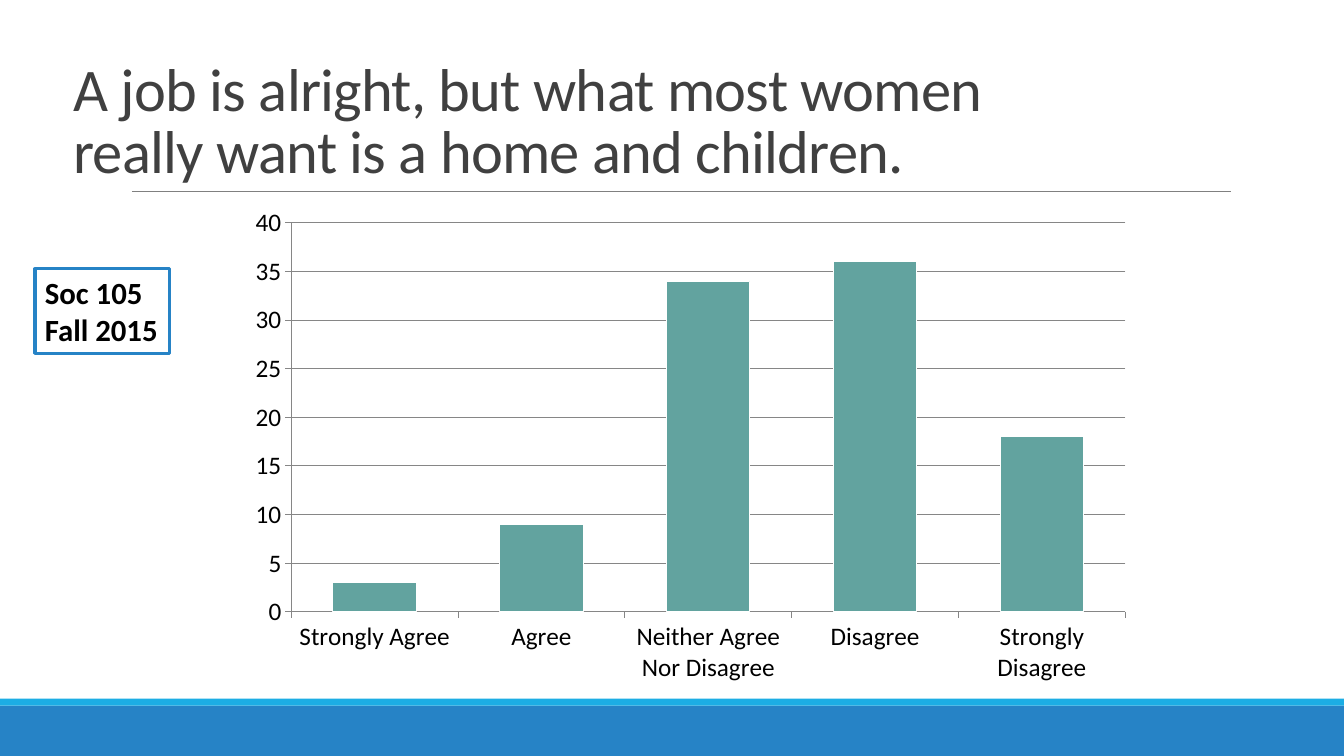
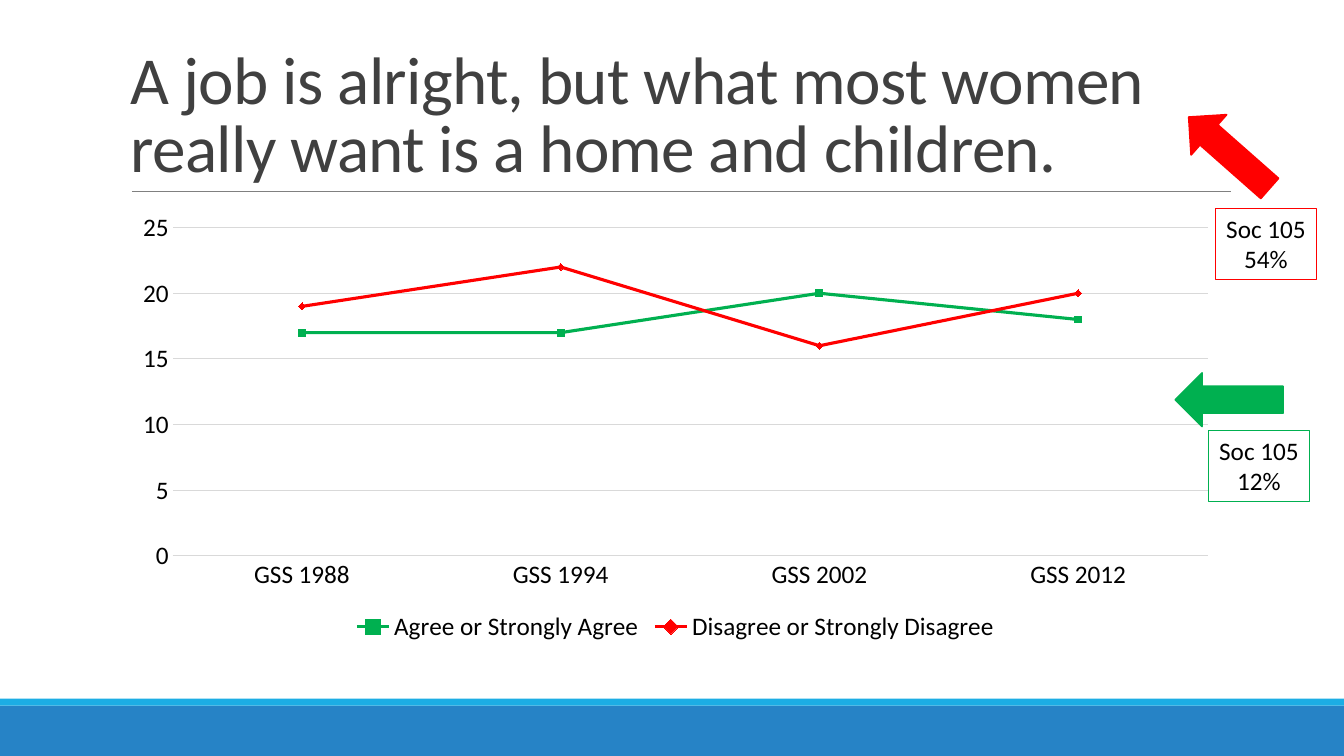
from lxml import etree
from pptx import Presentation
from pptx.chart.data import CategoryChartData
from pptx.dml.color import RGBColor
from pptx.enum.chart import XL_CHART_TYPE as CT, XL_LEGEND_POSITION as LP, XL_TICK_MARK as TM
from pptx.enum.shapes import MSO_CONNECTOR as MC, MSO_SHAPE as SH
from pptx.enum.text import MSO_ANCHOR as MA, MSO_AUTO_SIZE as AS, PP_ALIGN as AL
from pptx.oxml.ns import qn
from pptx.util import Pt

FONT = "Calibri"
COLORS = {
    "band": "2683C6", "stripe": "1CADE4", "rule": "808080", "title": "404040",
    "text": "000000", "axis": "868686", "grid": "D9D9D9", "bar": "62A39F",
    "white": "FFFFFF", "agree": "00B050", "disagree": "FF0000",
}
TITLE = "A job is alright, but what most women really want is a home and children."

CLASS_CATS = ["Strongly Agree", "Agree", "Neither Agree Nor Disagree", "Disagree", "Strongly Disagree"]
CLASS_SERIES = [("Series 1", [3, 9, 34, 36, 18])]
PLOT_AREA = {"x": 0.08, "y": 0.03, "w": 0.92, "h": 0.78}

GSS_CATS = ["GSS 1988", "GSS 1994", "GSS 2002", "GSS 2012"]
GSS_SERIES = [
    ("Agree or Strongly Agree", [17, 17, 20, 18]),
    ("Disagree or Strongly Disagree", [19, 22, 16, 20]),
]
SERIES_COLORS = ["agree", "disagree"]

ARROWS = [((839.5, 266.4), 180, "agree"), ((839.5, 90), 221.4, "disagree")]
CALLOUTS = [((863.3, 307.4), "12%", "agree"), ((868.3, 149), "54%", "disagree")]


def rgb(name):
    return RGBColor.from_string(COLORS[name])


def pts(box):
    return [Pt(v) for v in box]


def set_font(font, size, color="text", bold=False):
    font.name, font.size, font.bold = FONT, Pt(size), bold
    font.color.rgb = rgb(color)


def set_line(line, color, width):
    line.color.rgb = rgb(color)
    line.width = Pt(width)


def add_filled(s, kind, box, color):
    sp = s.shapes.add_shape(kind, *pts(box))
    sp.shadow.inherit = False
    sp.fill.solid()
    sp.fill.fore_color.rgb = rgb(color)
    sp.line.fill.background()
    return sp


def add_base(prs, title_box, title_size):
    s = prs.slides.add_slide(prs.slide_layouts[6])
    add_filled(s, SH.RECTANGLE, (0, 504, 960, 36), "band")
    add_filled(s, SH.RECTANGLE, (0, 499, 960, 5), "stripe")
    rule = s.shapes.add_connector(MC.STRAIGHT, *pts((94.3, 136.6, 879, 136.6)))
    set_line(rule.line, "rule", 0.5)
    etree.SubElement(rule._element.spPr, qn("a:effectLst"))
    tf = s.shapes.add_textbox(*pts(title_box)).text_frame
    tf.word_wrap = True
    tf.vertical_anchor = MA.BOTTOM
    p = tf.paragraphs[0]
    p.line_spacing = 0.85
    set_font(p.font, title_size, "title")
    r = p.add_run()
    r.text = TITLE
    r._r.get_or_add_rPr().set("spc", "-50")
    return s


def add_label(s, box, lines, size, color, width, align=AL.LEFT, bold=False):
    sp = s.shapes.add_textbox(*pts(box))
    set_line(sp.line, color, width)
    tf = sp.text_frame
    tf.word_wrap = False
    tf.auto_size = AS.SHAPE_TO_FIT_TEXT
    tf.text = "\n".join(lines)
    for p in tf.paragraphs:
        p.alignment = align
        set_font(p.font, size, bold=bold)


def add_plot(s, kind, box, cats, series, top, tick, grid):
    data = CategoryChartData()
    data.categories = cats
    for name, values in series:
        data.add_series(name, values)
    chart = s.shapes.add_chart(kind, *pts(box), data).chart
    chart.has_title = chart.has_legend = False
    set_font(chart.font, 18)
    chart.plots[0].vary_by_categories = False
    for axis in (chart.category_axis, chart.value_axis):
        axis.major_tick_mark, axis.minor_tick_mark = tick, TM.NONE
        set_line(axis.format.line, grid, 0.75)
    axis = chart.value_axis
    axis.minimum_scale, axis.maximum_scale, axis.major_unit = 0, top, 5
    axis.has_major_gridlines = True
    set_line(axis.major_gridlines.format.line, grid, 0.75)
    return chart


def set_plot_area(chart, area):
    plot = chart._chartSpace.chart.plotArea
    for old in plot.findall(qn("c:layout")):
        plot.remove(old)
    layout = etree.Element(qn("c:layout"))
    plot.insert(0, layout)
    manual = etree.SubElement(layout, qn("c:manualLayout"))
    values = {"layoutTarget": "inner", "xMode": "edge", "yMode": "edge", **area}
    for tag, value in values.items():
        etree.SubElement(manual, qn(f"c:{tag}")).set("val", str(value))


def build_class_slide(prs):
    s = add_base(prs, (45.4, 46, 759, 90), 43.2)
    chart = add_plot(s, CT.COLUMN_CLUSTERED, (156.2, 148.3, 648, 356.4),
                     CLASS_CATS, CLASS_SERIES, 40, TM.OUTSIDE, "axis")
    set_plot_area(chart, PLOT_AREA)
    chart.plots[0].gap_width = 100
    bars = chart.plots[0].series[0].format
    bars.fill.solid()
    bars.fill.fore_color.rgb = rgb("bar")
    set_line(bars.line, "white", 0.75)
    add_label(s, (25, 192, 96, 60.5), ["Soc 105", "Fall 2015"], 22, "band", 2.25, bold=True)


def build_trend_slide(prs):
    s = add_base(prs, (86.4, 22.3, 792, 114.5), 48)
    chart = add_plot(s, CT.LINE, (86.4, 145.4, 792, 316.8),
                     GSS_CATS, GSS_SERIES, 25, TM.NONE, "grid")
    chart.value_axis.format.line.fill.background()
    chart.has_legend = True
    chart.legend.position = LP.BOTTOM
    chart.legend.include_in_layout = False
    set_font(chart.legend.font, 18)
    for series, color in zip(chart.plots[0].series, SERIES_COLORS):
        series.smooth = False
        series.marker.style = None
        set_line(series.format.line, color, 2.25)
    for place, angle, color in ARROWS:
        arrow = add_filled(s, SH.RIGHT_ARROW, (*place, 77, 38.2), color)
        set_line(arrow.line, color, 1.25)
        arrow.rotation = angle
    for place, share, color in CALLOUTS:
        add_label(s, (*place, 72, 51), ["Soc 105", share], 18, color, 0.75, AL.CENTER)


def main():
    prs = Presentation()
    prs.slide_width, prs.slide_height = Pt(960), Pt(540)
    build_class_slide(prs)
    build_trend_slide(prs)
    prs.save("out.pptx")


if __name__ == "__main__":
    main()
